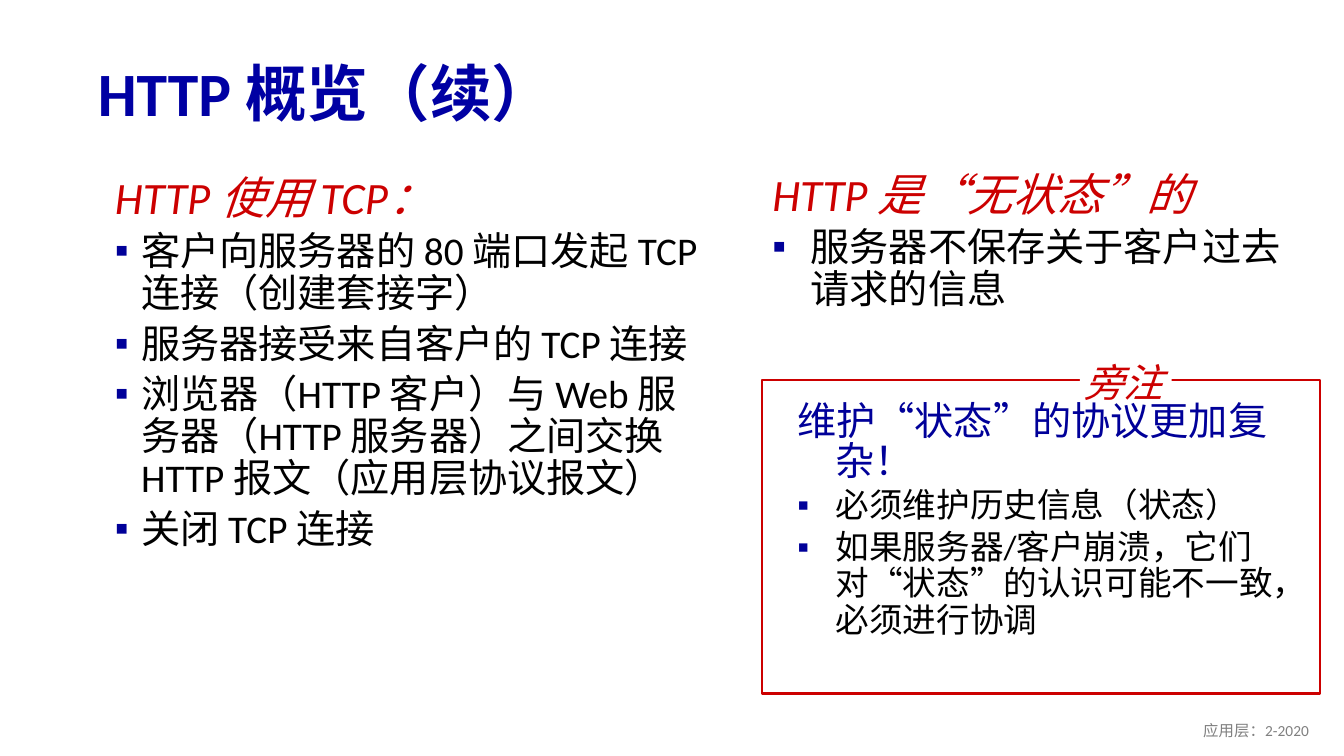
from lxml.etree import SubElement
from pptx import Presentation
from pptx.dml.color import RGBColor
from pptx.enum.shapes import MSO_SHAPE
from pptx.enum.text import MSO_ANCHOR, MSO_AUTO_SIZE, PP_ALIGN
from pptx.oxml.ns import qn
from pptx.util import Inches, Pt

INK = {"title": "0000A3", "red": "CC0000", "navy": "000099",
       "black": "000000", "gray": "808080", "white": "FFFFFF"}
WIDE, HIGH = Inches(13.33), Inches(7.5)


def tint(name):
    return RGBColor.from_string(INK[name])


def write(frame, text, size=28, ink="black", bold=False, slant=False,
          align=PP_ALIGN.LEFT, lead=1.0, before=0, hang=0, mark=None):
    first = not frame.text
    para = frame.paragraphs[0] if first else frame.add_paragraph()
    props = para._p.get_or_add_pPr()
    props.set("marL", str(Inches(hang)))
    props.set("indent", str(-Inches(hang)))
    if mark:
        color = SubElement(props, qn("a:buClr"))
        SubElement(color, qn("a:srgbClr"), val=INK["navy"])
        SubElement(props, qn("a:buFont"), typeface="Arial")
        SubElement(props, qn("a:buChar"), char=mark)
    else:
        SubElement(props, qn("a:buNone"))
    para.alignment = align
    para.line_spacing = lead
    para.space_before = Pt(0 if first else before)
    run = para.add_run()
    run.text = text
    font = run.font
    font.name, font.size = "Calibri", Pt(size)
    font.bold, font.italic = bold, slant
    font.color.rgb = tint(ink)


class Deck:
    def __init__(self):
        self.show = Presentation()
        self.show.slide_width, self.show.slide_height = WIDE, HIGH
        self.slide = self.show.slides.add_slide(self.show.slide_layouts[3])
        self.point = {"lead": 0.9, "mark": "▪"}
        self.head = {"size": 32, "ink": "red", "slant": True, "hang": 0.38}

    def area(self, left, top, width, height):
        return (round(WIDE * left / 100), round(HIGH * top / 100),
                round(WIDE * width / 100), round(HIGH * height / 100))

    def holder(self, index, spot, anchor=MSO_ANCHOR.TOP):
        shape = self.slide.placeholders[index]
        shape.left, shape.top, shape.width, shape.height = self.area(*spot)
        frame = shape.text_frame
        frame.auto_size = MSO_AUTO_SIZE.NONE
        frame.vertical_anchor = anchor
        return frame

    def title(self, text, spot):
        frame = self.holder(0, spot, MSO_ANCHOR.MIDDLE)
        write(frame, text, size=44, ink="title", bold=True, lead=0.9)

    def points(self, frame, items, **style):
        for item in items:
            write(frame, item, **self.point, **style)

    def list(self, index, spot, head, items, lead, hang):
        frame = self.holder(index, spot)
        write(frame, head, lead=lead, **self.head)
        self.points(frame, items, before=5.6, hang=hang)

    def box(self, spot, line=None):
        shape = self.slide.shapes.add_shape(MSO_SHAPE.RECTANGLE, *self.area(*spot))
        shape.shadow.inherit = False
        shape.fill.solid()
        shape.fill.fore_color.rgb = tint("white")
        if line:
            shape.line.color.rgb = tint(line)
            shape.line.width = Pt(1.5)
        else:
            shape.line.fill.background()

    def label(self, spot, wrap=True, anchor=MSO_ANCHOR.TOP):
        frame = self.slide.shapes.add_textbox(*self.area(*spot)).text_frame
        frame.word_wrap = wrap
        frame.vertical_anchor = anchor
        if not wrap:
            frame.auto_size = MSO_AUTO_SIZE.SHAPE_TO_FIT_TEXT
        return frame


def main():
    deck = Deck()
    deck.title("HTTP 概览（续）", (6.53, 6.27, 86.27, 13.07))
    deck.list(1, (7.8, 22.53, 45.54, 67.73), "HTTP 使用 TCP：", [
        "客户向服务器的 80 端口发起 TCP 连接（创建套接字）",
        "服务器接受来自客户的 TCP 连接",
        "浏览器（HTTP 客户）与 Web 服务器（HTTP 服务器）之间交换 HTTP 报文（应用层协议报文）",
        "关闭 TCP 连接",
    ], lead=0.9, hang=0.26)
    deck.list(2, (56.71, 23.07, 41.49, 24.8), "HTTP 是“无状态”的", [
        "服务器不保存关于客户过去请求的信息",
    ], lead=0.75, hang=0.38)

    deck.box((56.71, 50.27, 41.49, 41.47), line="red")
    deck.box((80.35, 48, 6.83, 4.27))
    note = deck.label((58.59, 52.67, 38.18, 38))
    write(note, "维护“状态”的协议更加复杂！", ink="navy", lead=0.85, hang=0.38)
    deck.points(note, [
        "必须维护历史信息（状态）",
        "如果服务器/客户崩溃，它们对“状态”的认识可能不一致，必须进行协调",
    ], size=24, before=4, hang=0.38)
    aside = deck.label((79.74, 46.8, 7.73, 7.6), wrap=False)
    write(aside, "旁注", ink="red", slant=True, align=PP_ALIGN.CENTER)

    foot = deck.label((75.62, 94, 22.51, 5.33), anchor=MSO_ANCHOR.MIDDLE)
    write(foot, "应用层：2-2020", size=11, ink="gray", align=PP_ALIGN.RIGHT)
    deck.show.save("out.pptx")


if __name__ == "__main__":
    main()
